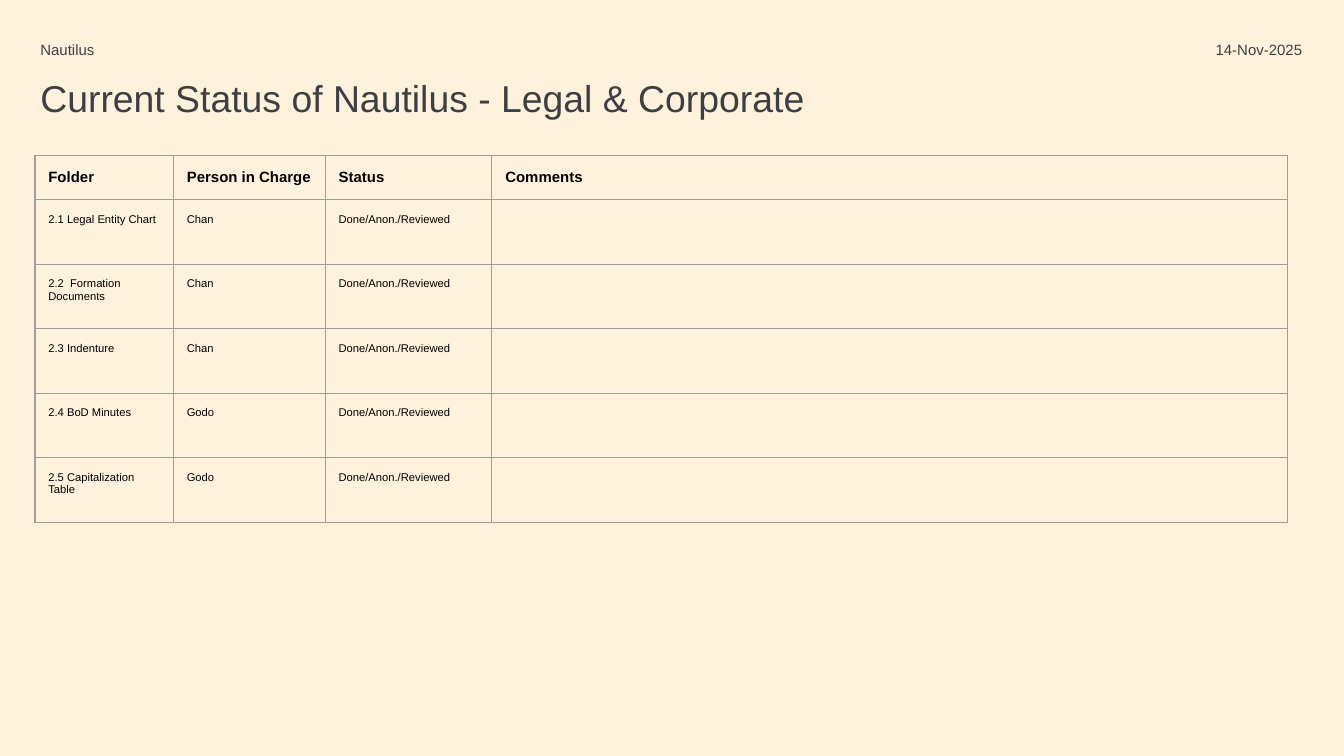
from dataclasses import dataclass

from lxml.etree import SubElement
from pptx import Presentation
from pptx.dml.color import RGBColor
from pptx.enum.text import MSO_ANCHOR, PP_ALIGN
from pptx.oxml import parse_xml
from pptx.oxml.ns import nsdecls, qn
from pptx.util import Inches, Pt


@dataclass(frozen=True)
class Theme:
    background: str = "FFF2DC"
    heading: str = "3C4043"
    table_text: str = "000000"
    border: str = "9E9E9E"
    border_width: float = 0.75
    font: str = "Arial"
    title_size: int = 20
    label_size: int = 8
    header_size: int = 8
    body_size: int = 6


@dataclass(frozen=True)
class Label:
    text: str
    left: float
    top: float
    width: float
    height: float
    size: int
    top_inset: float = 0
    alignment: PP_ALIGN = PP_ALIGN.LEFT


@dataclass(frozen=True)
class FolderRow:
    folder: str
    person: str
    status: str = "Done/Anon./Reviewed"
    comments: str = ""


THEME = Theme()

LABELS = [
    Label("Current Status of Nautilus - Legal & Corporate", 0.3, 0.46, 9.39, 0.97,
          THEME.title_size, top_inset=0.1),
    Label("Nautilus", 0.3, 0.3, 1.78, 0.15, THEME.label_size),
    Label("14-Nov-2025", 7.91, 0.3, 1.78, 0.15, THEME.label_size,
          alignment=PP_ALIGN.RIGHT),
]

HEADER = FolderRow("Folder", "Person in Charge", "Status", "Comments")
FOLDERS = [
    FolderRow("2.1 Legal Entity Chart", "Chan"),
    FolderRow("2.2  Formation Documents", "Chan"),
    FolderRow("2.3 Indenture", "Chan"),
    FolderRow("2.4 BoD Minutes", "Godo"),
    FolderRow("2.5 Capitalization Table", "Godo"),
]
COLUMN_WIDTHS = [1.03, 1.13, 1.24, 5.92]
HEADER_HEIGHT = 0.32
FOLDER_HEIGHT = 0.48


def add_text(paragraph, text: str, size: int, color: str, bold: bool = False) -> None:
    run = paragraph.add_run()
    run.text = text
    run.font.name = THEME.font
    run.font.size = Pt(size)
    run.font.bold = bold
    run.font.color.rgb = RGBColor.from_string(color)


def add_label(slide, label: Label) -> None:
    shape = slide.shapes.add_textbox(Inches(label.left), Inches(label.top),
                                     Inches(label.width), Inches(label.height))
    frame = shape.text_frame
    frame.word_wrap = True
    frame.vertical_anchor = MSO_ANCHOR.TOP
    frame.margin_left = frame.margin_right = frame.margin_bottom = 0
    frame.margin_top = Inches(label.top_inset)
    paragraph = frame.paragraphs[0]
    paragraph.alignment = label.alignment
    add_text(paragraph, label.text, label.size, THEME.heading)


def add_borders(cell) -> None:
    properties = cell._tc.get_or_add_tcPr()
    for index, side in enumerate(("lnL", "lnR", "lnT", "lnB")):
        properties.insert(index, parse_xml(
            f'<a:{side} {nsdecls("a")} w="{Pt(THEME.border_width)}">'
            f'<a:solidFill><a:srgbClr val="{THEME.border}"/></a:solidFill></a:{side}>'))


def fill_cell(cell, text: str, size: int, bold: bool) -> None:
    cell.margin_left = cell.margin_right = Inches(0.1)
    cell.margin_top = cell.margin_bottom = Inches(0.1)
    cell.fill.background()
    add_borders(cell)
    paragraph = cell.text_frame.paragraphs[0]
    if text:
        add_text(paragraph, text, size, THEME.table_text, bold)
    else:
        SubElement(paragraph._p, qn("a:endParaRPr"), sz=str(size * 100))


def add_status_table(slide) -> None:
    rows = [HEADER, *FOLDERS]
    heights = [HEADER_HEIGHT] + [FOLDER_HEIGHT] * len(FOLDERS)
    table = slide.shapes.add_table(
        len(rows), len(COLUMN_WIDTHS), Inches(0.26), Inches(1.16),
        Inches(sum(COLUMN_WIDTHS)), Inches(sum(heights))).table
    table.first_row = False
    table.horz_banding = False
    for column, width in zip(table.columns, COLUMN_WIDTHS):
        column.width = Inches(width)
    for table_row, row, height in zip(table.rows, rows, heights):
        table_row.height = Inches(height)
        is_header = row is HEADER
        size = THEME.header_size if is_header else THEME.body_size
        texts = (row.folder, row.person, row.status, row.comments)
        for cell, text in zip(table_row.cells, texts):
            fill_cell(cell, text, size, is_header)


def main() -> None:
    presentation = Presentation()
    presentation.slide_width = Inches(10)
    presentation.slide_height = Inches(10 * 9 / 16)
    slide = presentation.slides.add_slide(presentation.slide_layouts[6])
    background = slide.background.fill
    background.solid()
    background.fore_color.rgb = RGBColor.from_string(THEME.background)
    add_status_table(slide)
    for label in LABELS:
        add_label(slide, label)
    presentation.save("out.pptx")


if __name__ == "__main__":
    main()
